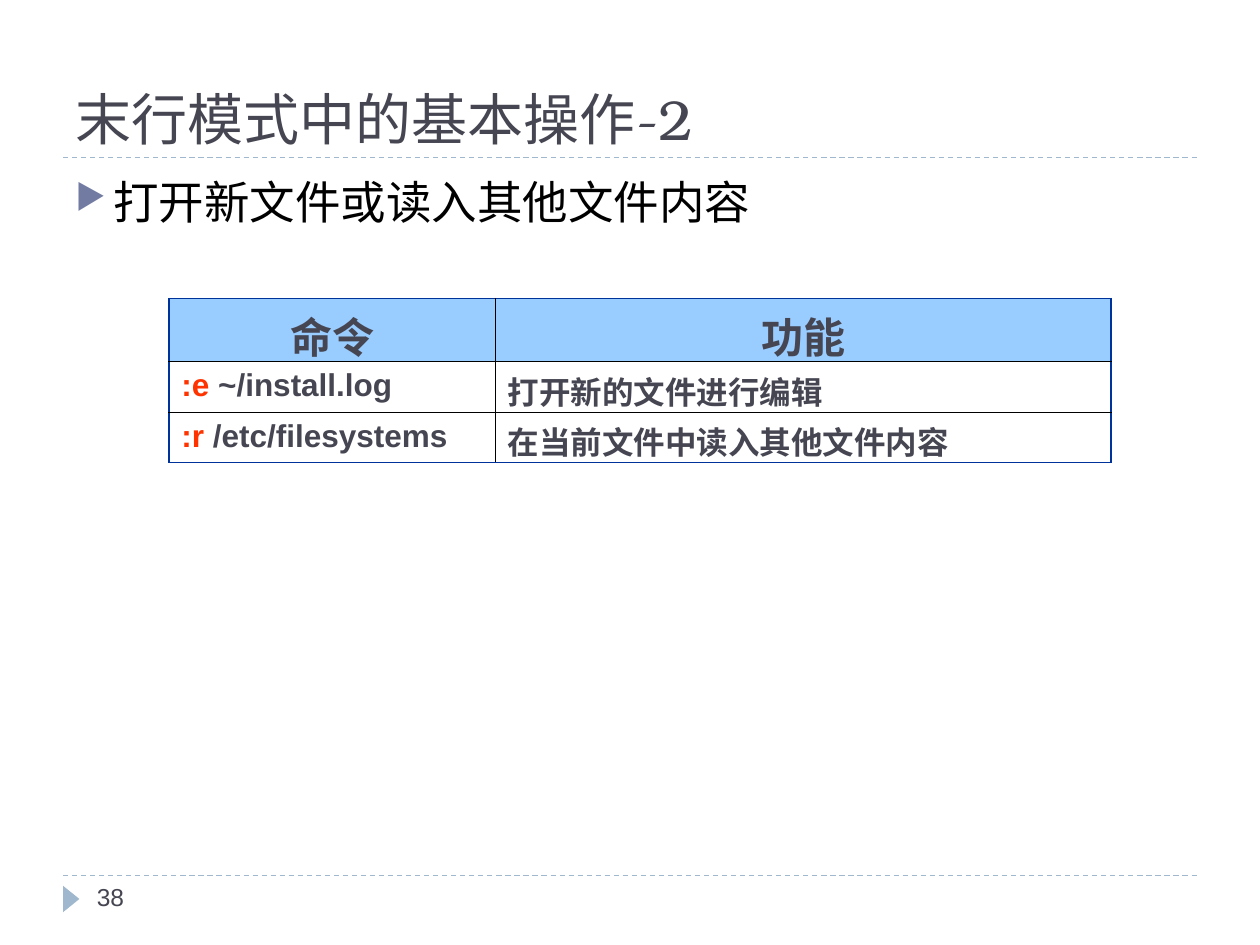
from pptx import Presentation
from pptx.dml.color import RGBColor
from pptx.enum import dml, shapes, text
from pptx.oxml.ns import qn
from pptx.util import Inches, Pt
from lxml import etree

INK, PALE_BLUE, NAVY, RED, BLACK = "464653", "9FB8CD", "003399", "FF3300", "000000"
HEADER_FILL = "99CCFF"
ROWS = [
    [[("命令", INK)], [("功能", INK)]],
    [[(":e", RED), (" ~/install.log", INK)], [("打开新的文件进行编辑", INK)]],
    [[(":r", RED), (" /etc/filesystems", INK)], [("在当前文件中读入其他文件内容", INK)]],
]
COLUMN_WIDTHS = [2.59, 4.89]
ROW_HEIGHTS = [0.5, 0.4, 0.4]


def rgb(value):
    """Turn a hex string into a colour."""
    return RGBColor.from_string(value)


def add_run(paragraph, wording, size, font, color, bold=False):
    """Append one formatted run to a paragraph."""
    run = paragraph.add_run()
    run.text = wording
    run.font.size = Pt(size)
    run.font.name = font
    run.font.bold = bold
    run.font.color.rgb = rgb(color)


def add_text(slide, box, wording, size, font, color, anchor=text.MSO_ANCHOR.TOP):
    """Add a wrapped text box with one run and return its paragraph."""
    frame = slide.shapes.add_textbox(*map(Inches, box)).text_frame
    frame.word_wrap = True
    frame.vertical_anchor = anchor
    paragraph = frame.paragraphs[0]
    add_run(paragraph, wording, size, font, color)
    return paragraph


def add_bullet(paragraph, mark, color, percent, indent):
    """Give a paragraph a coloured bullet with a hanging indent."""
    properties = paragraph._p.get_or_add_pPr()
    properties.set("marL", str(Inches(indent)))
    properties.set("indent", str(-Inches(indent)))
    bullet_color = etree.SubElement(properties, qn("a:buClr"))
    etree.SubElement(bullet_color, qn("a:srgbClr"), val=color)
    etree.SubElement(properties, qn("a:buSzPct"), val=str(percent * 1000))
    etree.SubElement(properties, qn("a:buChar"), char=mark)


def add_rule(slide, y):
    """Add a dashed rule across the slide."""
    rule = slide.shapes.add_connector(
        shapes.MSO_CONNECTOR.STRAIGHT, Inches(0.5), Inches(y), Inches(9.5), Inches(y))
    rule.line.color.rgb = rgb(PALE_BLUE)
    rule.line.width = Pt(0.75)
    rule.line.dash_style = dml.MSO_LINE.DASH
    etree.SubElement(rule._element.spPr, qn("a:effectLst"))


def add_page_marker(slide):
    """Add the triangle that points at the page number."""
    marker = slide.shapes.add_shape(
        shapes.MSO_SHAPE.ISOSCELES_TRIANGLE,
        Inches(0.46), Inches(7.07), Inches(0.21), Inches(0.13))
    marker.rotation = 90
    marker.shadow.inherit = False
    marker.fill.solid()
    marker.fill.fore_color.rgb = rgb(PALE_BLUE)
    marker.line.fill.background()


def set_borders(cell, outer_sides):
    """Draw navy borders on the outer sides and thin black ones elsewhere."""
    properties = cell._tc.get_or_add_tcPr()
    for position, side in enumerate("LRTB"):
        color, width = (NAVY, 1.08) if side in outer_sides else (BLACK, 0.45)
        border = etree.Element(qn(f"a:ln{side}"), w=str(Pt(width)))
        fill = etree.SubElement(border, qn("a:solidFill"))
        etree.SubElement(fill, qn("a:srgbClr"), val=color)
        properties.insert(position, border)


def fill_cell(cell, runs, is_header):
    """Write the runs of one cell and set its background."""
    paragraph = cell.text_frame.paragraphs[0]
    if is_header:
        paragraph.alignment = text.PP_ALIGN.CENTER
        cell.fill.solid()
        cell.fill.fore_color.rgb = rgb(HEADER_FILL)
    else:
        cell.fill.background()
    for wording, color in runs:
        add_run(paragraph, wording, 24 if is_header else 18, "Arial", color, bold=True)


def add_command_table(slide):
    """Add the table of commands and their functions."""
    table = slide.shapes.add_table(
        len(ROWS), len(COLUMN_WIDTHS), Inches(1.34), Inches(2.37),
        Inches(sum(COLUMN_WIDTHS)), Inches(sum(ROW_HEIGHTS))).table
    table.horz_banding = False
    for column, width in zip(table.columns, COLUMN_WIDTHS):
        column.width = Inches(width)
    for r, (row, height) in enumerate(zip(table.rows, ROW_HEIGHTS)):
        row.height = Inches(height)
        for c, cell in enumerate(row.cells):
            cell.margin_left = cell.margin_right = Inches(0.1)
            cell.margin_top = cell.margin_bottom = Inches(0.05)
            fill_cell(cell, ROWS[r][c], r == 0)
            vertical = {0: "T", len(ROWS) - 1: "B"}.get(r, "")
            set_borders(cell, "LR"[c] + vertical)


def main():
    """Build the slide and save it."""
    deck = Presentation()
    deck.slide_width, deck.slide_height = Inches(10), Inches(7.5)
    slide = deck.slides.add_slide(deck.slide_layouts[6])
    for y in (6.95, 1.25):
        add_rule(slide, y)
    add_page_marker(slide)
    add_text(slide, (0.5, 0.17, 9, 1.08), "末行模式中的基本操作-2", 32,
             "TeX Gyre Bonum", INK, text.MSO_ANCHOR.BOTTOM)
    add_text(slide, (0.67, 6.95, 2.17, 0.4), "38", 14, "Arial", INK)
    topic = add_text(slide, (0.5, 1.33, 9, 5.4), "打开新文件或读入其他文件内容", 26,
                     "Calibri", BLACK)
    add_bullet(topic, "▶", "727CA3", 76, 0.3)
    add_command_table(slide)
    deck.save("out.pptx")


if __name__ == "__main__":
    main()
